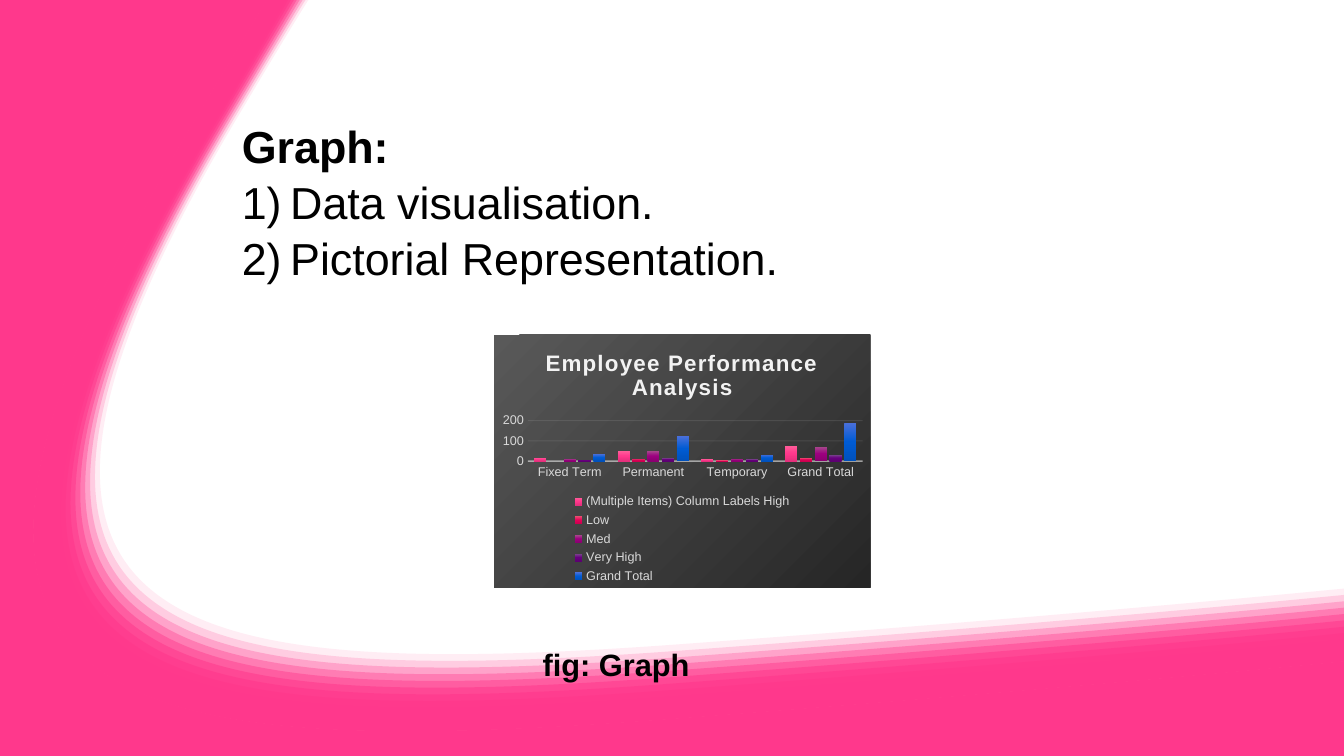
from dataclasses import dataclass

from lxml import etree
from pptx import Presentation
from pptx import util as u
from pptx.chart import data as chart_data
from pptx.dml.color import RGBColor
from pptx.enum import chart as charts, text
from pptx.oxml.ns import qn

CAPTION = "fig: Graph"
HEADING = "Graph:"
POINTS = ["Data visualisation.", "Pictorial Representation."]

CHART_TITLE = "Employee Performance Analysis"
CATEGORIES = ["Fixed Term", "Permanent", "Temporary", "Grand Total"]
SERIES = [
    ("(Multiple Items) Column Labels High", [17, 48, 9, 74], ["FF5C99", "FF388C", "E52F7C"]),
    ("Low", [None, 11, 3, 14], ["EA4B6F", "E40059", "CB004F"]),
    ("Med", [10, 50, 11, 71], ["A74B8D", "9C007F", "8B0071"]),
    ("Very High", [7, 15, 9, 31], ["7A4B8D", "68007F", "5C0071"]),
    ("Grand Total", [34, 124, 32, 190], ["4B70DA", "005BD3", "0051BC"]),
]
PLOT_LAYOUT = {"x": 0.09, "y": 0.34, "w": 0.89, "h": 0.16}

SLIDE_SIZE = (13.33, 7.5)
FRAME_EDGE = [(2.65, 0), (2.65, 0), (2.4, 0.41), (1.96, 1.15), (-1.62, 7.12),
              (1.06, 7.55), (6.55, 7.14), (10.75, 6.82), (13.33, 6.56), (13.33, 6.56)]
WIDEST_EDGE = [(3.06, 0), (3.05, 0.01), (2.81, 0.4), (2.4, 1.09), (-0.73, 6.32),
               (1.61, 6.78), (6.9, 6.38), (10.85, 6.09), (13.31, 5.84), (13.33, 5.84)]
NARROWEST_EDGE = [(2.77, 0), (2.71, 0.11), (2.48, 0.52), (2.11, 1.14), (-1.42, 7.03),
                  (1.22, 7.45), (6.64, 7.04), (10.48, 6.75), (12.99, 6.51), (13.33, 6.47)]
BAND_COUNT = 11


@dataclass(frozen=True)
class Theme:
    font: str = "Arial"
    ink: str = "000000"
    pink: str = "FF388C"
    chart_light: str = "595959"
    chart_dark: str = "262626"
    chart_title: str = "F2F2F2"
    chart_text: str = "D9D9D9"
    body_size: float = 32
    caption_size: float = 22
    chart_title_size: float = 16
    chart_size: float = 9


THEME = Theme()


def set_font(font, size, color, bold=False):
    font.name = THEME.font
    font.size = u.Pt(size)
    font.bold = bold
    font.color.rgb = RGBColor.from_string(color)


def add_paragraph(frame, content, *, size, color=THEME.ink, bold=False,
                  align=None, before=0, numbered=False, tracking=None):
    first = frame.paragraphs[0]
    paragraph = frame.add_paragraph() if first.runs else first
    paragraph.alignment = align
    paragraph.space_before = u.Pt(before)
    run = paragraph.add_run()
    run.text = content
    set_font(run.font, size, color, bold)
    if tracking:
        run.font._element.set("spc", str(tracking))
    if numbered:
        properties = paragraph._p.get_or_add_pPr()
        properties.set("marL", str(u.Inches(0.48)))
        properties.set("indent", str(-u.Inches(0.48)))
        etree.SubElement(properties, qn("a:buAutoNum"), type="arabicParenR")


def set_opacity(element, percent):
    for color in element.iter(qn("a:srgbClr")):
        etree.SubElement(color, qn("a:alpha"), val=str(round(percent * 1000)))


def add_gradient(properties, colors, angle):
    gradient = etree.SubElement(properties, qn("a:gradFill"), rotWithShape="1")
    stops = etree.SubElement(gradient, qn("a:gsLst"))
    for index, color in enumerate(colors):
        position = 100000 * index // (len(colors) - 1)
        stop = etree.SubElement(stops, qn("a:gs"), pos=str(position))
        etree.SubElement(stop, qn("a:srgbClr"), val=color)
    etree.SubElement(gradient, qn("a:lin"), ang=str(angle * 60000), scaled="0")


def curve_steps(command, controls):
    curves = [("cubicBezTo", controls[start:start + 3]) for start in range(1, len(controls), 3)]
    return [(command, controls[:1])] + curves


def add_outline(slide, steps, opacity=100):
    width, height = map(u.Inches, SLIDE_SIZE)
    builder = slide.shapes.build_freeform(0, 0, scale=1.0)
    builder.add_line_segments([(width, 0), (width, height), (0, height)], close=True)
    shape = builder.convert_to_shape()
    outline = next(shape.element.iter(qn("a:path")))
    for old_step in list(outline):
        outline.remove(old_step)
    for command, points in steps:
        step = etree.SubElement(outline, qn(f"a:{command}"))
        for x, y in points:
            etree.SubElement(step, qn("a:pt"), x=str(u.Inches(x)), y=str(u.Inches(y)))
    etree.SubElement(outline, qn("a:close"))
    shape.shadow.inherit = False
    shape.fill.solid()
    shape.fill.fore_color.rgb = RGBColor.from_string(THEME.pink)
    shape.line.fill.background()
    if opacity < 100:
        set_opacity(shape.element.spPr, opacity)


def add_frame(slide):
    width, height = SLIDE_SIZE
    edge = curve_steps("moveTo", FRAME_EDGE)
    corners = [(width, height), (0, height), (0, 0)]
    add_outline(slide, edge + [("lnTo", [corner]) for corner in corners])
    for band in range(BAND_COUNT):
        share = band / (BAND_COUNT - 1)
        controls = [tuple(a + (b - a) * share for a, b in zip(wide, narrow))
                    for wide, narrow in zip(WIDEST_EDGE, NARROWEST_EDGE)]
        inner_edge = curve_steps("lnTo", controls[::-1])
        add_outline(slide, edge + inner_edge, 100 * (band + 1) / BAND_COUNT)


def place_plot(chart):
    plot_area = chart._chartSpace.chart.plotArea
    for old_layout in plot_area.findall(qn("c:layout")):
        plot_area.remove(old_layout)
    layout = etree.Element(qn("c:layout"))
    plot_area.insert(0, layout)
    manual = etree.SubElement(layout, qn("c:manualLayout"))
    settings = {"layoutTarget": "inner", "xMode": "edge", "yMode": "edge", **PLOT_LAYOUT}
    for name, value in settings.items():
        etree.SubElement(manual, qn(f"c:{name}"), val=str(value))


def style_axes(chart):
    category_axis, value_axis = chart.category_axis, chart.value_axis
    for axis in (category_axis, value_axis):
        axis.major_tick_mark = axis.minor_tick_mark = charts.XL_TICK_MARK.NONE
    value_axis.minimum_scale, value_axis.maximum_scale, value_axis.major_unit = 0, 200, 100
    value_axis.format.line.fill.background()
    grid = value_axis.major_gridlines
    for line, width in ((category_axis.format.line, 1), (grid.format.line, 0.75)):
        line.color.rgb = RGBColor.from_string(THEME.chart_title)
        line.width = u.Pt(width)
    set_opacity(category_axis._element.find(qn("c:spPr")), 54)
    set_opacity(value_axis._element.find(qn("c:majorGridlines")), 10)


def add_performance_chart(slide):
    data = chart_data.CategoryChartData()
    data.categories = CATEGORIES
    for name, values, _ in SERIES:
        data.add_series(name, values)
    area = [u.Inches(length) for length in (4.9, 3.32, 3.73, 2.51)]
    chart = slide.shapes.add_chart(charts.XL_CHART_TYPE.COLUMN_CLUSTERED, *area, data).chart
    set_font(chart.font, THEME.chart_size, THEME.chart_text)
    add_paragraph(chart.chart_title.text_frame, CHART_TITLE, size=THEME.chart_title_size,
                  color=THEME.chart_title, bold=True, tracking=100)
    chart.has_legend = True
    chart.legend.position = charts.XL_LEGEND_POSITION.BOTTOM
    chart.legend.include_in_layout = False
    plot = chart.plots[0]
    plot.gap_width, plot.overlap, plot.vary_by_categories = 100, -22, False
    for series, (_, _, colors) in zip(plot.series, SERIES):
        add_gradient(series._element.get_or_add_spPr(), colors, 90)
    background = etree.Element(qn("c:spPr"))
    add_gradient(background, [THEME.chart_light, THEME.chart_dark], 45)
    chart._chartSpace.chart.addnext(background)
    style_axes(chart)
    place_plot(chart)


def add_body(slide):
    area = [u.Inches(length) for length in (2.3, 1.1, 10.93, 4.95)]
    frame = slide.shapes.add_textbox(*area).text_frame
    frame.word_wrap = True
    frame.margin_top = u.Inches(0.08)
    add_paragraph(frame, HEADING, size=THEME.body_size, bold=True)
    for point in POINTS:
        add_paragraph(frame, point, size=THEME.body_size, before=1.4, numbered=True)


def place_caption(slide):
    title = slide.shapes.title
    title.left, title.top, title.width, title.height = (
        u.Inches(length) for length in (5.26, 6.21, 1.68, 0.76))
    title.text_frame.vertical_anchor = text.MSO_ANCHOR.MIDDLE
    add_paragraph(title.text_frame, CAPTION, size=THEME.caption_size, bold=True,
                  align=text.PP_ALIGN.RIGHT)
    title.element.getparent().append(title.element)


def main():
    presentation = Presentation()
    presentation.slide_width, presentation.slide_height = map(u.Inches, SLIDE_SIZE)
    slide = presentation.slides.add_slide(presentation.slide_layouts[5])
    add_frame(slide)
    place_caption(slide)
    add_body(slide)
    add_performance_chart(slide)
    presentation.save("out.pptx")


if __name__ == "__main__":
    main()
